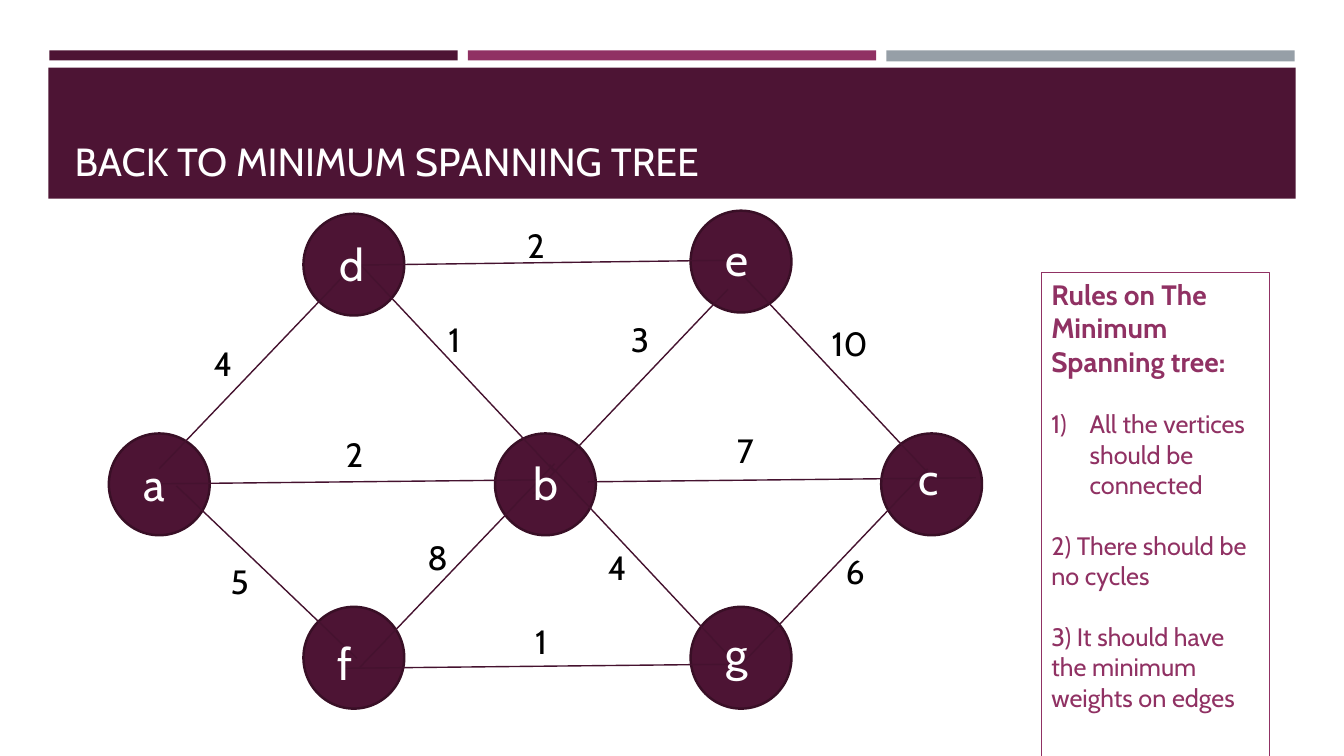
from lxml import etree
from pptx import Presentation
from pptx.dml.color import RGBColor
from pptx.enum import shapes, text
from pptx.oxml.ns import qn
from pptx.util import Inches, Pt

FONT = "Cabin"
COLORS = {"plum": "4D1434", "rose": "903163", "gray": "969FA7", "rim": "390F26",
          "edge": "45122F", "white": "FFFFFF", "black": "000000"}
TITLE = "BACK TO MINIMUM SPANNING TREE"

# Top bands: left, top, width, height, color
BANDS = [(0.49, 0.5, 4.05, 0.1, "plum"), (4.64, 0.5, 4.05, 0.1, "rose"),
         (8.79, 0.5, 4.05, 0.11, "gray"), (0.48, 0.67, 12.37, 1.3, "plum")]

# Vertices: name -> circle corner, letter corner
NODES = {
    "a": ((1.08, 4.3), (1.32, 4.48)),
    "b": ((4.91, 4.3), (5.19, 4.47)),
    "c": ((8.74, 4.3), (9.01, 4.42)),
    "d": ((3.01, 2.12), (3.27, 2.3)),
    "e": ((6.85, 2.09), (7.1, 2.25)),
    "f": ((3.01, 6.02), (3.25, 6.26)),
    "g": ((6.85, 6.02), (7.1, 6.16)),
}

# Edges: start, end, weight, weight corner
EDGES = [
    ((1.58, 4.65), (3.51, 2.63), "4", (2.02, 3.35)),
    ((3.57, 6.62), (5.5, 4.6), "8", (4.14, 5.28)),
    ((5.29, 4.9), (7.22, 2.87), "3", (6.16, 3.11)),
    ((7.28, 6.67), (9.2, 4.65), "6", (8.29, 5.42)),
    ((1.75, 4.82), (3.54, 6.53), "5", (2.19, 5.52)),
    ((3.54, 2.59), (5.5, 4.68), "1", (4.35, 3.11)),
    ((7.31, 2.67), (9.26, 4.75), "10", (8.15, 3.15)),
    ((5.45, 4.61), (7.4, 6.69), "4", (5.93, 5.38)),
    ((3.54, 2.63), (7.4, 2.58), "2", (5.13, 2.18)),
    ((3.39, 6.63), (7.25, 6.59), "1", (5.21, 6.11)),
    ((1.56, 4.8), (5.42, 4.76), "2", (3.33, 4.26)),
    ((5.83, 4.78), (9.68, 4.74), "7", (7.21, 4.22)),
]

# Rules: text, size, bold, numbered
RULES = [("Rules on The Minimum Spanning tree:", 20, True, False),
         ("All the vertices should be connected", 18, False, True),
         ("2) There should be no cycles", 18, False, False),
         ("3) It should have the minimum weights on edges", 18, False, False)]


def color(name):
    return RGBColor.from_string(COLORS[name])


def style(para, size, tone, bold=False):
    font = para.font
    font.name, font.size, font.bold = FONT, Pt(size), bold
    font.color.rgb = color(tone)
    para.alignment = text.PP_ALIGN.LEFT


def shape(kind, box, fill=None, line=None, width=1):
    item = slide.shapes.add_shape(kind, *map(Inches, box))
    item.shadow.inherit = False
    if fill:
        item.fill.solid()
        item.fill.fore_color.rgb = color(fill)
    else:
        item.fill.background()
    if line:
        item.line.color.rgb = color(line)
        item.line.width = Pt(width)
    else:
        item.line.fill.background()
    return item


def label(words, box, size, tone):
    frame = slide.shapes.add_textbox(*map(Inches, box)).text_frame
    frame.word_wrap = True
    frame.text = words
    style(frame.paragraphs[0], size, tone)


def number(para):
    props = para._p.get_or_add_pPr()
    props.set("marL", str(Inches(0.38)))
    props.set("indent", str(-Inches(0.38)))
    etree.SubElement(props, qn("a:buFont"), typeface="+mj-lt")
    etree.SubElement(props, qn("a:buAutoNum"), type="arabicParenR")


deck = Presentation()
deck.slide_width, deck.slide_height = Inches(13.33), Inches(7.5)
slide = deck.slides.add_slide(deck.slide_layouts[5])
RECT, OVAL = shapes.MSO_SHAPE.RECTANGLE, shapes.MSO_SHAPE.OVAL

# Bands and title
for *box, tone in BANDS:
    shape(RECT, box, tone)
title = slide.shapes.title
title.left, title.top, title.width, title.height = map(Inches, (0.64, 0.77, 12.06, 1.11))
title.text_frame.text = TITLE
title.text_frame.auto_size = text.MSO_AUTO_SIZE.NONE
title.text_frame.vertical_anchor = text.MSO_ANCHOR.BOTTOM
style(title.text_frame.paragraphs[0], 28, "white")
slide.shapes._spTree.append(title._element)  # bring above the band

# Graph: circles, then edges, then letters and weights
for spot, _ in NODES.values():
    shape(OVAL, (*spot, 1, 1.01), "plum", "rim", 1.75)
for start, end, _, _ in EDGES:
    edge = slide.shapes.add_connector(
        shapes.MSO_CONNECTOR.STRAIGHT, *map(Inches, (*start, *end)))
    edge.line.color.rgb = color("edge")
    edge.line.width = Pt(1)
    etree.SubElement(edge._element.spPr, qn("a:effectLst"))
for name, (_, spot) in NODES.items():
    label(name, (*spot, 0.65, 0.64), 32, "white")
for _, _, weight, spot in EDGES:
    label(weight, (*spot, 0.63, 0.5), 24, "black")

# Rules panel
panel = shape(RECT, (10.33, 2.7, 2.26, 5.65), line="rose", width=0.75).text_frame
panel.word_wrap = True
panel.vertical_anchor = text.MSO_ANCHOR.TOP
for i, (words, size, bold, numbered) in enumerate(RULES):
    para = panel.add_paragraph() if i else panel.paragraphs[0]
    para.text = words
    style(para, size, "rose", bold)
    if i:
        para.space_before = Pt(22)
    if numbered:
        number(para)

deck.save("out.pptx")
